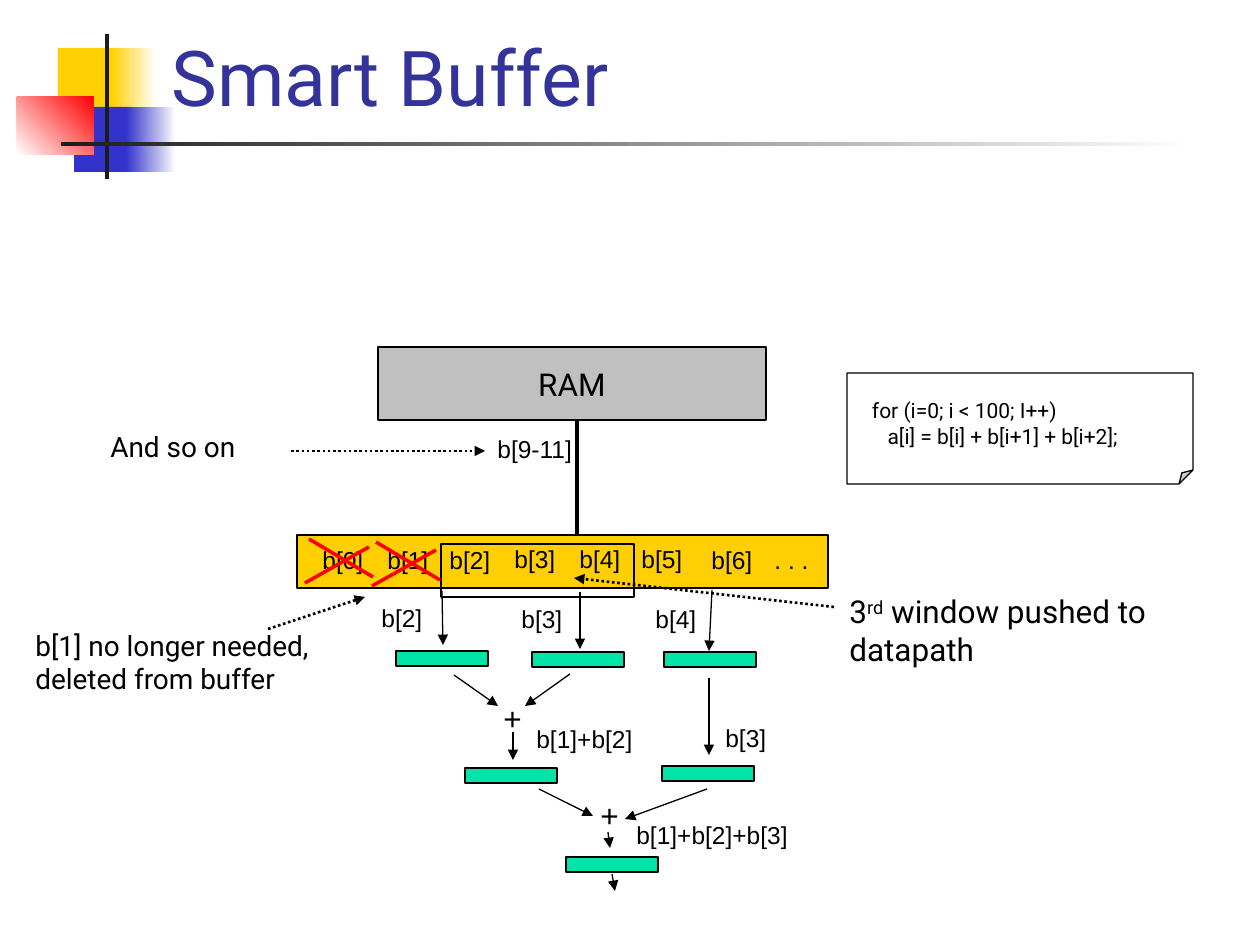
from lxml.etree import SubElement
from pptx import Presentation
from pptx.dml.color import RGBColor
from pptx.enum.dml import MSO_LINE
from pptx.enum.shapes import MSO_CONNECTOR, MSO_SHAPE
from pptx.enum.text import MSO_ANCHOR, PP_ALIGN
from pptx.oxml.ns import qn
from pptx.util import Emu, Pt

EMU_PER_PX = 914400 / 126
COLORS = {
    "black": "000000", "white": "FFFFFF", "ink": "1C1C1C", "title": "333399",
    "yellow": "FFCF01", "blue": "3333CC", "red": "FF0000",
    "gray": "C0C0C0", "green": "00E4A8",
}


def px(value):
    return Emu(round(value * EMU_PER_PX))


def rgb(name):
    return RGBColor.from_string(COLORS[name])


def format_text(frame, size, font="Roboto", color="black", align=PP_ALIGN.LEFT):
    for para in frame.paragraphs:
        para.alignment = align
        for span in para.runs:
            span.font.size = Pt(size)
            span.font.name = font
            span.font.color.rgb = rgb(color)


def add_block(page, place, fill=None, outline=None, kind=MSO_SHAPE.RECTANGLE):
    block = page.shapes.add_shape(kind, *map(px, place))
    block.shadow.inherit = False
    if fill:
        block.fill.solid()
        block.fill.fore_color.rgb = rgb(fill)
    else:
        block.fill.background()
    if outline:
        block.line.color.rgb = rgb("black")
        block.line.width = Pt(outline)
    else:
        block.line.fill.background()
    return block


def add_fade(page, place, start, end, angle=0):
    fill = add_block(page, place).fill
    fill.gradient()
    fill.gradient_angle = angle
    for stop, color in zip(fill.gradient_stops, (start, end)):
        stop.color.rgb = rgb(color)


def add_label(page, place, text, size=14, font="Arial"):
    box = page.shapes.add_textbox(*map(px, place))
    frame = box.text_frame
    frame.word_wrap = True
    frame.text = text
    format_text(frame, size, font)
    return frame


def add_line(page, ends, width=0.75, color="black", arrow=False, dotted=False):
    line = page.shapes.add_connector(MSO_CONNECTOR.STRAIGHT, *map(px, ends))
    line.line.width = Pt(width)
    line.line.color.rgb = rgb(color)
    if dotted:
        line.line.dash_style = MSO_LINE.ROUND_DOT
    if arrow:
        SubElement(line.line._get_or_add_ln(), qn("a:tailEnd"), type="triangle")
    SubElement(line._element.spPr, qn("a:effectLst"))


def add_header(page):
    add_block(page, (58, 48, 60, 65), "yellow")
    add_fade(page, (111, 48, 45, 65), "yellow", "white")
    add_block(page, (74, 107, 58, 65), "blue")
    add_fade(page, (126, 107, 50, 65), "blue", "white")
    add_fade(page, (17, 97, 77, 58), "white", "red", 45)
    add_block(page, (105, 34, 4, 145), "ink")
    add_fade(page, (61, 142, 1134, 4), "ink", "white")

    title = page.shapes.title
    title.left, title.top, title.width, title.height = map(px, (159, 0, 1073, 128))
    title.text_frame.text = "Smart Buffer"
    title.text_frame.vertical_anchor = MSO_ANCHOR.BOTTOM
    format_text(title.text_frame, 44, color="title")


def add_code_note(page):
    note = add_block(page, (847, 373, 346, 111), "white", 0.75, MSO_SHAPE.FOLDED_CORNER)
    guides = note._element.spPr.find(qn("a:prstGeom")).find(qn("a:avLst"))
    SubElement(guides, qn("a:gd"), name="adj", fmla="val 12500")
    frame = note.text_frame
    frame.margin_left = frame.margin_top = px(25)
    frame.margin_right = frame.margin_bottom = 0
    frame.vertical_anchor = MSO_ANCHOR.TOP
    frame.text = "for (i=0; i < 100; I++)\n   a[i] = b[i] + b[i+1] + b[i+2];"
    format_text(frame, 12)


def add_datapath(page):
    registers = [(396, 651), (532, 652), (664, 652), (465, 768), (662, 766), (566, 857)]
    for left, top in registers:
        add_block(page, (left, top, 92, 15), "green", 0.75)
    for left, top in [(491, 693), (588, 790)]:
        add_label(page, (left, top, 54, 50), "+", 18)
    arrows = [
        (442, 591, 443, 645), (580, 592, 580, 649), (712, 590, 709, 651),
        (454, 675, 498, 706), (570, 674, 525, 706), (709, 678, 709, 755),
        (513, 732, 513, 760), (539, 789, 593, 816), (707, 789, 625, 819),
        (608, 832, 610, 848), (612, 874, 615, 891),
    ]
    for ends in arrows:
        add_line(page, ends, arrow=True)
    labels = [
        ("b[2]", 369, 597, 107), ("b[3]", 509, 598, 107), ("b[4]", 643, 598, 107),
        ("b[1]+b[2]", 524, 718, 126), ("b[3]", 713, 717, 126),
        ("b[1]+b[2]+b[3]", 624, 814, 202),
    ]
    for text, left, top, width in labels:
        add_label(page, (left, top, width, 43), text)


def add_memory(page):
    add_block(page, (297, 535, 531, 53), "yellow", 0.75)
    ram = add_block(page, (378, 347, 388, 73), "gray", 0.75)
    ram.text_frame.text = "RAM"
    ram.text_frame.vertical_anchor = MSO_ANCHOR.MIDDLE
    format_text(ram.text_frame, 18, align=PP_ALIGN.CENTER)
    add_line(page, (577, 420, 577, 534), 2.5)
    add_label(page, (485, 428, 107, 43), "b[9-11]")

    add_block(page, (441, 544, 193, 53), outline=1.25)
    for index, left in enumerate((310, 375, 437, 502, 567, 629, 699)):
        top = 538 if index in (3, 4, 5) else 539
        add_label(page, (left, top, 107, 43), f"b[{index}]")
    add_label(page, (762, 539, 107, 43), ". . .")

    for left, top in [(305, 539), (372, 542)]:
        add_line(page, (left + 4, top, left + 68, top + 38), 2, "red")
        add_line(page, (left, top + 44, left + 64, top + 8), 2, "red")


def add_remarks(page):
    add_label(page, (98, 423, 200, 47), "And so on", 16, "Roboto")
    add_label(page, (23, 622, 354, 81),
              "b[1] no longer needed, deleted from buffer", 16, "Roboto")
    frame = add_label(page, (837, 586, 375, 88), "3", 18, "Roboto")
    para = frame.paragraphs[0]
    ordinal = para.add_run()
    ordinal.text = "rd"
    ordinal.font._element.set("baseline", "30000")
    para.add_run().text = " window pushed to datapath"
    format_text(frame, 18)
    for ends in [(291, 451, 485, 451), (268, 629, 365, 597), (834, 607, 574, 578)]:
        add_line(page, ends, 1.5, arrow=True, dotted=True)


def main():
    deck = Presentation()
    deck.slide_width, deck.slide_height = px(1260), px(945)
    page = deck.slides.add_slide(deck.slide_layouts[5])
    add_header(page)
    add_code_note(page)
    add_memory(page)
    add_datapath(page)
    add_remarks(page)
    deck.save("out.pptx")


if __name__ == "__main__":
    main()
